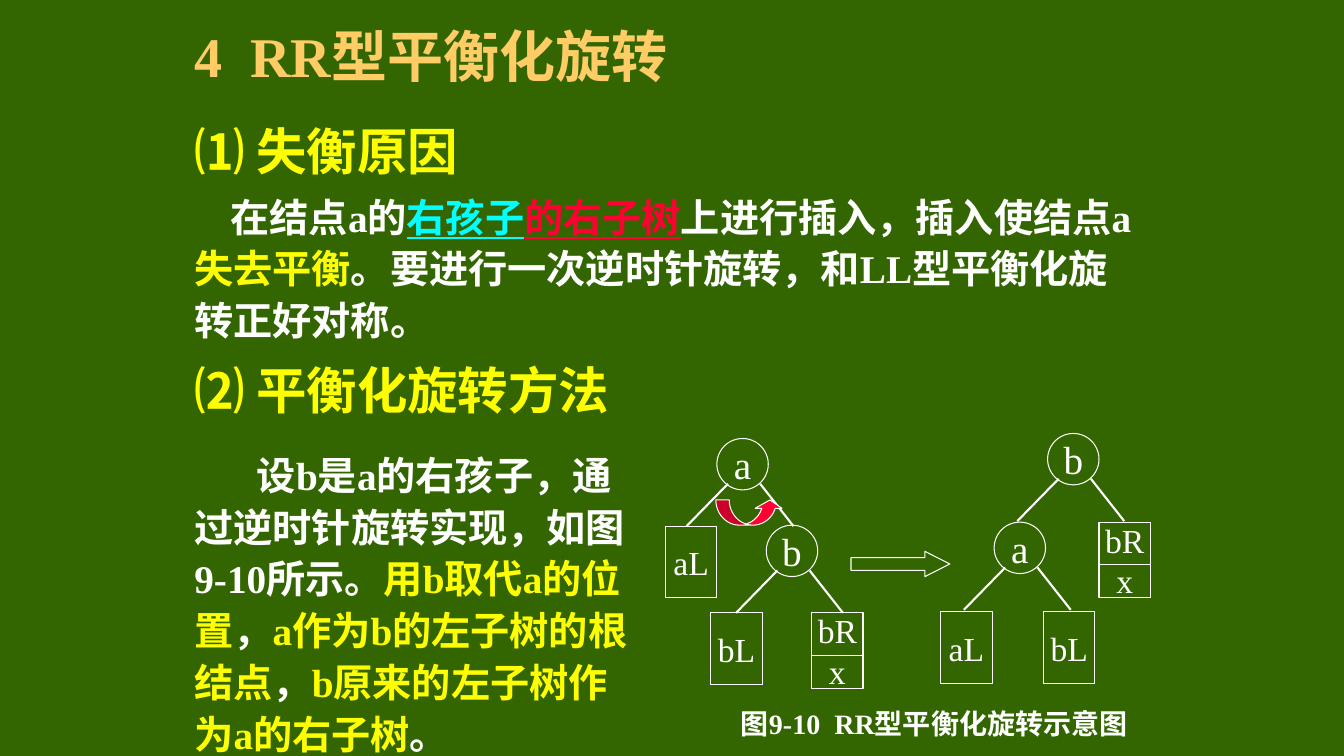
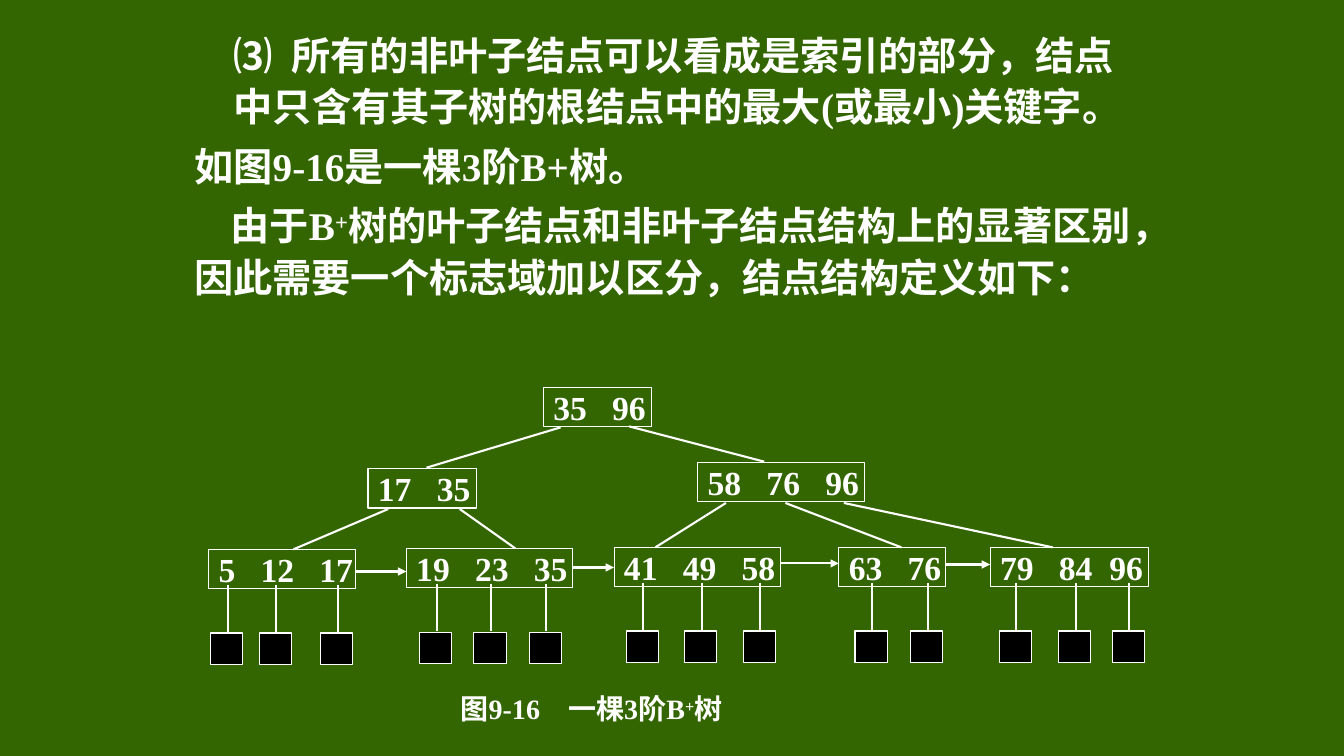
from lxml import etree
from pptx import Presentation
from pptx.dml.color import RGBColor
from pptx.enum.shapes import MSO_CONNECTOR, MSO_SHAPE
from pptx.enum.text import MSO_ANCHOR, PP_ALIGN
from pptx.oxml.ns import qn
from pptx.util import Inches, Pt

RECT, OVAL = MSO_SHAPE.RECTANGLE, MSO_SHAPE.OVAL
RIGHT_ARROW, CURVED_ARROW = MSO_SHAPE.RIGHT_ARROW, MSO_SHAPE.CURVED_UP_ARROW
STRAIGHT = MSO_CONNECTOR.STRAIGHT
TOP, MIDDLE = MSO_ANCHOR.TOP, MSO_ANCHOR.MIDDLE
LEFT, CENTER = PP_ALIGN.LEFT, PP_ALIGN.CENTER

GREEN, WHITE, BLACK = "336600", "FFFFFF", "000000"
GOLD, YELLOW, CYAN, RED = "FFCC66", "FFFF00", "00FFFF", "FF0033"
LATIN, EAST_ASIAN = "Times New Roman", "Noto Sans CJK SC"
MARGIN, BODY_W = 1.83, 9.64
HOT = {"color": YELLOW}
SUPER = {"baseline": 26000}


def rgb(value):
    return RGBColor.from_string(value)


def gap(points):
    """One space, widened by character spacing."""
    return " ", {"spacing": points}


def add_run(p, text, size, color=WHITE, bold=True, underline=None,
            baseline=None, spacing=None):
    r = p.add_run()
    r.text = text
    formats = {"name": LATIN, "size": Pt(size), "bold": bold, "underline": underline}
    for name, value in formats.items():
        setattr(r.font, name, value)
    r.font.color.rgb = rgb(color)
    rPr = r._r.get_or_add_rPr()
    etree.SubElement(rPr, qn("a:ea")).set("typeface", EAST_ASIAN)
    if baseline:
        rPr.set("baseline", str(baseline))
    if spacing:
        rPr.set("spc", str(spacing * 100))


def add_para(tf, runs, size=28, first=False, indent=0, left=0,
             align=LEFT, body=False, **style):
    """Runs are strings or (string, format) pairs."""
    p = tf.paragraphs[0] if first else tf.add_paragraph()
    pPr = p._p.get_or_add_pPr()
    pPr.set("marL", str(Inches(left)))
    pPr.set("indent", str(Inches(indent)))
    p.alignment = align
    if body:
        p.line_spacing = 1.1
        p.space_before = Pt(0 if first else size * 0.2)
    for run in runs:
        text, extra = (run, {}) if isinstance(run, str) else run
        add_run(p, text, size, **{**style, **extra})


def fill_text(tf, paras, anchor=TOP, wrap=True, insets=(0.1, 0.05, 0.1, 0.05)):
    tf.word_wrap = wrap
    tf.vertical_anchor = anchor
    sides = ("margin_left", "margin_top", "margin_right", "margin_bottom")
    for side, inset in zip(sides, insets):
        setattr(tf, side, Inches(inset))
    for i, para in enumerate(paras):
        add_para(tf, first=i == 0, **para)


def add_box(s, box, paras, **frame):
    sp = s.shapes.add_textbox(*map(Inches, box))
    fill_text(sp.text_frame, paras, **frame)


def add_body(s, box, paras):
    add_box(s, box, [{**para, "body": True} for para in paras])


def add_caption(s, box, runs):
    add_box(s, box, [{"runs": runs, "size": 20}], anchor=MIDDLE)


def add_outline(s, kind, box, fill=None, adjustments=()):
    sp = s.shapes.add_shape(kind, *map(Inches, box))
    sp.shadow.inherit = False
    for i, value in enumerate(adjustments):
        sp.adjustments[i] = value
    if fill:
        sp.fill.solid()
        sp.fill.fore_color.rgb = rgb(fill)
    else:
        sp.fill.background()
    sp.line.color.rgb = rgb(WHITE)
    sp.line.width = Pt(0.75)
    return sp


def add_line(s, x1, y1, x2, y2, width=1.5, arrow=False):
    line = s.shapes.add_connector(STRAIGHT, *map(Inches, (x1, y1, x2, y2)))
    line.line.color.rgb = rgb(WHITE)
    line.line.width = Pt(width)
    if arrow:
        etree.SubElement(line.line._get_or_add_ln(), qn("a:tailEnd"), type="triangle")
    etree.SubElement(line._element.spPr, qn("a:effectLst"))


# Binary trees of the rotation figure
def add_label(s, kind, box, lines, size):
    sp = add_outline(s, kind, box)
    paras = [{"runs": [t], "size": size, "bold": False, "align": CENTER} for t in lines]
    fill_text(sp.text_frame, paras, anchor=MIDDLE, wrap=False, insets=(0, 0, 0, 0))


def add_tree_node(s, x, y, label):
    """A circle with the edges to its two children."""
    add_label(s, OVAL, (x, y, 0.51, 0.51), [label], 28)
    add_line(s, x + 0.11, y + 0.45, x - 0.3, y + 0.87)
    add_line(s, x + 0.43, y + 0.45, x + 0.76, y + 0.87)


def add_subtree(s, x, y, label):
    add_label(s, RECT, (x, y, 0.51, 0.71), [label], 24)


def add_grown_subtree(s, x, y):
    """Subtree bR, which holds the inserted node x."""
    add_label(s, RECT, (x, y, 0.51, 0.75), ["bR", "x"], 24)
    add_line(s, x, y + 0.42, x + 0.51, y + 0.42, width=0.75)


def add_rotation(s, x, y):
    # Before the rotation
    add_tree_node(s, x + 0.51, y + 0.05, "a")
    add_tree_node(s, x + 1, y + 0.91, "b")
    add_subtree(s, x, y + 0.92, "aL")
    add_subtree(s, x + 0.45, y + 1.78, "bL")
    add_grown_subtree(s, x + 1.45, y + 1.78)
    add_outline(s, CURVED_ARROW, (x + 0.5, y + 0.66, 0.67, 0.25), RED,
                (0.533, 1.067, 0.333))
    add_outline(s, RIGHT_ARROW, (x + 1.84, y + 1.17, 0.98, 0.25),
                adjustments=(0.5, 0.984))
    # After the rotation
    add_tree_node(s, x + 3.79, y, "b")
    add_tree_node(s, x + 3.26, y + 0.88, "a")
    add_subtree(s, x + 2.73, y + 1.77, "aL")
    add_subtree(s, x + 3.75, y + 1.77, "bL")
    add_grown_subtree(s, x + 4.3, y + 0.88)
    add_caption(s, (x + 0.65, y + 2.68, 4.5, 0.39),
                ["图9-10", gap(5), "RR型平衡化旋转示意图"])


# B+ tree figure: x, y, width, keys, then pointer positions and key gaps
INNER_NODES = [
    (5.39, 3.84, 1.07, "35 96"),
    (3.65, 4.65, 1.08, "17 35"),
    (6.92, 4.59, 1.65, "58 76 96"),
]
LEAVES = [
    (2.07, 5.45, 1.46, "5 12 17", (2.26, 2.74, 3.35)),
    (4.03, 5.44, 1.65, "19 23 35", (4.33, 4.87, 5.42)),
    (6.09, 5.43, 1.65, "41 49 58", (6.38, 6.96, 7.54)),
    (8.32, 5.43, 1.06, "63 76", (8.65, 9.2)),
    (9.82, 5.43, 1.57, "79 84 96", (10.08, 10.67, 11.2), (12, 6)),
]
EDGES = [
    (5.56, 4.24, 4.23, 4.64), (6.24, 4.23, 7.58, 4.58),
    (3.85, 5.05, 2.91, 5.45), (4.56, 5.05, 5.11, 5.44),
    (7.2, 4.99, 6.5, 5.43), (7.79, 4.99, 8.94, 5.43), (8.37, 4.99, 10.44, 5.43),
]
LINK_HEIGHTS = (5.67, 5.63, 5.59, 5.6)


def add_key_node(s, x, y, w, keys, pointers=(), gaps=(12, 12)):
    sp = add_outline(s, RECT, (x, y, w, 0.39))
    first, *others = keys.split()
    runs = [first]
    for key, points in zip(others, gaps):
        runs += [gap(points), key]
    fill_text(sp.text_frame, [{"runs": runs, "size": 24}],
              anchor=MIDDLE, wrap=True, insets=(0.1, 0, 0, 0))
    # Records below a leaf
    for px in pointers:
        add_line(s, px, y + 0.35, px, y + 0.82)
        add_outline(s, RECT, (px - 0.17, y + 0.83, 0.32, 0.31), BLACK)


def add_bplus_tree(s):
    for node in INNER_NODES + LEAVES:
        add_key_node(s, *node)
    for edge in EDGES:
        add_line(s, *edge)
    for leaf, following, y in zip(LEAVES, LEAVES[1:], LINK_HEIGHTS):
        add_line(s, leaf[0] + leaf[2], y, following[0], y, arrow=True)
    add_caption(s, (4.47, 6.83, 3.6, 0.39),
                ["图9-16", gap(15), "一棵3阶B", ("+", SUPER), "树"])


def rotation_slide(prs):
    s = prs.slides.add_slide(prs.slide_layouts[5])
    title = s.shapes.title
    title.left, title.top, title.width, title.height = map(
        Inches, (MARGIN, 0.17, 5.4, 0.75))
    fill_text(title.text_frame, [{"runs": ["4", gap(10), "RR型平衡化旋转"],
                                  "size": 40, "color": GOLD}], anchor=MIDDLE)
    add_body(s, (MARGIN, 1.08, BODY_W, 3.22), [
        {"runs": ["⑴ 失衡原因"], "size": 36, "color": YELLOW},
        {"indent": 0.36, "runs": [
            "在结点a的",
            ("右孩子", {"color": CYAN, "underline": True}),
            ("的右子树", {"color": RED, "underline": True}),
            "上进行插入，插入使结点a", ("失去平衡", HOT),
            "。要进行一次逆时针旋转，和LL型平衡化旋转正好对称。"]},
        {"runs": ["⑵ 平衡化旋转方法"], "size": 36, "color": YELLOW},
    ])
    add_body(s, (MARGIN, 4.38, 4.52, 2.91), [{"indent": 0.62, "runs": [
        "设b是a的右孩子，通过逆时针旋转实现，如图9-10所示。",
        ("用b取代a的位置", HOT), "，", ("a作为b的左子树的根结点", HOT), "，",
        ("b原来的左子树作为a的右子树", HOT), "。"]}])
    add_rotation(s, 6.6, 4.3)


def bplus_slide(prs):
    s = prs.slides.add_slide(prs.slide_layouts[6])
    add_body(s, (MARGIN, 0.21, BODY_W, 3.39), [
        {"left": 0.39, "runs": [
            "⑶", gap(7),
            "所有的非叶子结点可以看成是索引的部分，"
            "结点中只含有其子树的根结点中的最大(或最小)关键字。"]},
        {"runs": ["如图9-16是一棵3阶B+树。"]},
        {"indent": 0.36, "runs": [
            "由于B", ("+", SUPER),
            "树的叶子结点和非叶子结点结构上的显著区别，"
            "因此需要一个标志域加以区分，结点结构定义如下："]},
    ])
    add_bplus_tree(s)


def main():
    prs = Presentation()
    prs.slide_width, prs.slide_height = Inches(13.33), Inches(7.5)
    background = prs.slide_master.background.fill
    background.solid()
    background.fore_color.rgb = rgb(GREEN)
    rotation_slide(prs)
    bplus_slide(prs)
    prs.save("out.pptx")


if __name__ == "__main__":
    main()
